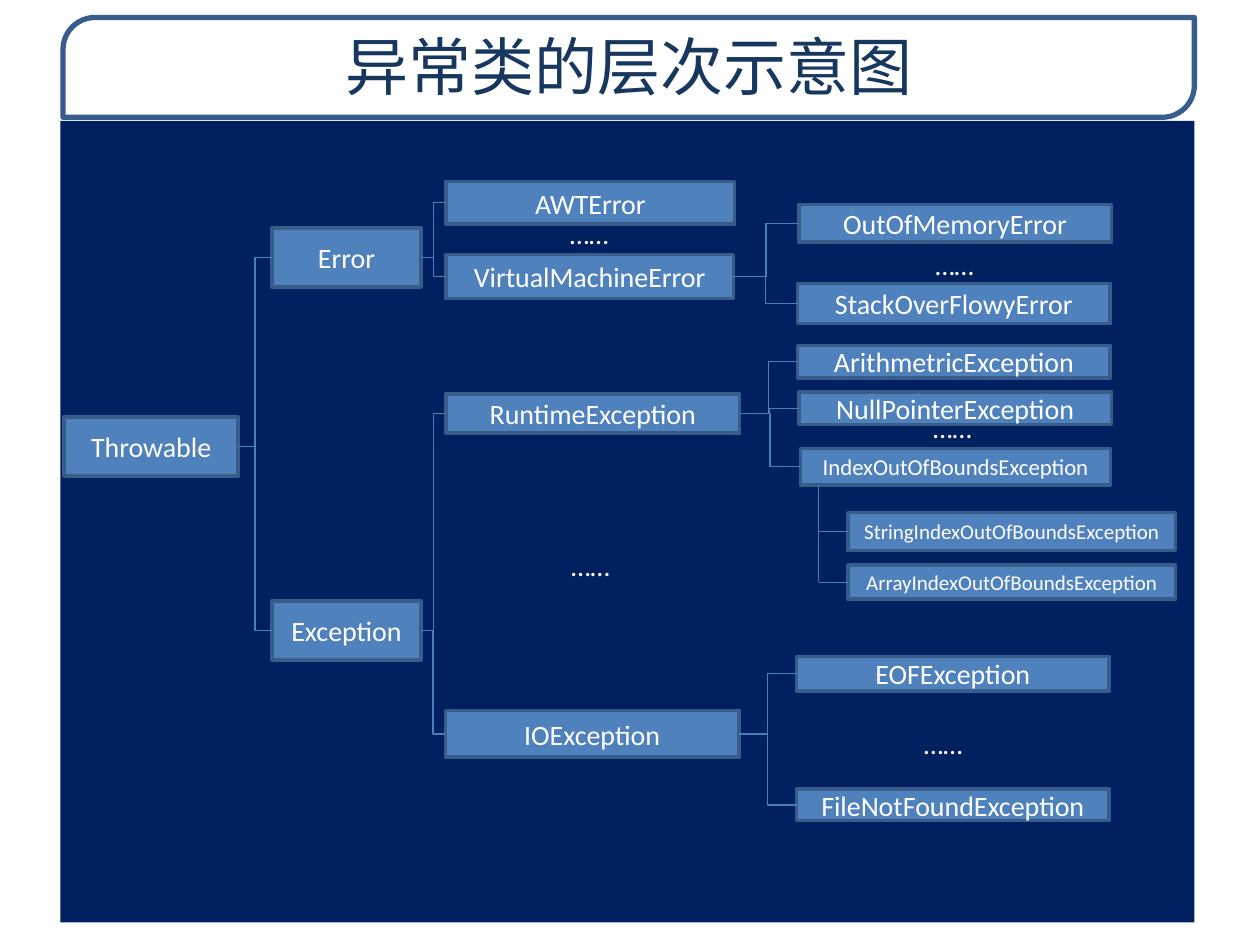
from lxml import etree
from pptx import Presentation
from pptx.dml.color import RGBColor
from pptx.enum.shapes import MSO_CONNECTOR, MSO_SHAPE
from pptx.enum.text import MSO_ANCHOR, PP_ALIGN
from pptx.oxml.ns import qn
from pptx.util import Pt

RECTANGLE = MSO_SHAPE.RECTANGLE
ROUND_DIAGONAL = MSO_SHAPE.ROUND_2_DIAG_RECTANGLE
STRAIGHT, ELBOW = MSO_CONNECTOR.STRAIGHT, MSO_CONNECTOR.ELBOW
MIDDLE, CENTER = MSO_ANCHOR.MIDDLE, PP_ALIGN.CENTER
LEFT_SIDE, RIGHT_SIDE = 1, 3

COLORS = {
    "white": "FFFFFF",
    "title": "17375E",
    "panel": "002060",
    "box": "4F81BD",
    "border": "385D8A",
    "connector": "4A7EBB",
}
COLORS = {name: RGBColor.from_string(value) for name, value in COLORS.items()}


def write_centered(shape, text, size, font_name="Calibri", color="white"):
    frame = shape.text_frame
    frame.word_wrap = True
    frame.vertical_anchor = MIDDLE
    frame.text = text
    paragraph = frame.paragraphs[0]
    paragraph.alignment = CENTER
    font = paragraph.runs[0].font
    font.name, font.size = font_name, Pt(size)
    font.color.rgb = COLORS[color]
    return font


def add_line(kind, *ends):
    """Add a thin connector from (x1, y1) to (x2, y2), given as four lengths."""
    connector = slide.shapes.add_connector(kind, *ends)
    connector.line.color.rgb = COLORS["connector"]
    connector.line.width = Pt(0.75)
    etree.SubElement(connector._element.spPr, qn("a:effectLst"))
    return connector


presentation = Presentation()
presentation.slide_width, presentation.slide_height = Pt(720), Pt(540)
slide = presentation.slides.add_slide(presentation.slide_layouts[6])

# Title frame and title
title_frame = slide.shapes.add_shape(ROUND_DIAGONAL, Pt(36), Pt(10), Pt(646.5), Pt(57))
title_frame.adjustments[0] = 0.32
title_frame.shadow.inherit = False
title_frame.fill.solid()
title_frame.fill.fore_color.rgb = COLORS["white"]
fill_color = title_frame._element.spPr.find(qn("a:solidFill"))[0]
etree.SubElement(fill_color, qn("a:alpha"), val="85000")
title_frame.line.color.rgb = COLORS["border"]
title_frame.line.width = Pt(3)

title = slide.shapes.add_textbox(Pt(36.7), Pt(10), Pt(645.8), Pt(54.7))
title_font = write_centered(title, "异常类的层次示意图", 36, "Noto Sans CJK SC", "title")
etree.SubElement(title_font._element, qn("a:ea"), typeface="Noto Sans CJK SC")

# Dark panel behind the tree
panel = slide.shapes.add_shape(RECTANGLE, Pt(34.5), Pt(69.1), Pt(648), Pt(458))
panel.shadow.inherit = False
panel.fill.solid()
panel.fill.fore_color.rgb = COLORS["panel"]
panel.line.fill.background()

# Class boxes: name, left, top, width, height, text size
classes = [
    ("Throwable", 36.7, 238.3, 99.4, 33.8, 16),
    ("Error", 155.5, 130.3, 85, 33.8, 16),
    ("Exception", 155.5, 343.4, 85, 33.8, 16),
    ("AWTError", 254.9, 103.7, 164.9, 24.5, 16),
    ("VirtualMachineError", 254.9, 145.4, 164.2, 25.2, 16),
    ("RuntimeException", 254.9, 225.2, 167.8, 22.3, 16),
    ("IOException", 254.5, 406.1, 167.8, 26.6, 16),
    ("OutOfMemoryError", 456.5, 116.8, 178.6, 21.6, 16),
    ("StackOverFlowyError", 455.8, 162, 178.6, 23, 16),
    ("ArithmetricException", 455.8, 197.4, 178.6, 18.7, 16),
    ("NullPointerException", 456.5, 223.9, 178.6, 18.7, 16),
    ("IndexOutOfBoundsException", 457.4, 256.2, 177.1, 20.9, 13),
    ("StringIndexOutOfBoundsException", 484.6, 293, 187.2, 21.6, 12),
    ("ArrayIndexOutOfBoundsException", 484.6, 323, 187.2, 19.4, 12),
    ("EOFException", 455.2, 375.1, 178.6, 19.8, 16),
    ("FileNotFoundException", 455.2, 451, 178.6, 18, 16),
]
boxes = {}
for name, left, top, width, height, size in classes:
    box = slide.shapes.add_shape(RECTANGLE, Pt(left), Pt(top), Pt(width), Pt(height))
    box.shadow.inherit = False
    box.fill.solid()
    box.fill.fore_color.rgb = COLORS["box"]
    box.line.color.rgb = COLORS["border"]
    box.line.width = Pt(2)
    write_centered(box, name, size)
    boxes[name] = box

# Elbow connectors from each class to its subclasses
subclasses = {
    "Throwable": ["Error", "Exception"],
    "Error": ["AWTError", "VirtualMachineError"],
    "Exception": ["RuntimeException", "IOException"],
    "VirtualMachineError": ["OutOfMemoryError", "StackOverFlowyError"],
    "RuntimeException": [
        "ArithmetricException", "NullPointerException", "IndexOutOfBoundsException",
    ],
    "IOException": ["EOFException", "FileNotFoundException"],
}
for parent, children in subclasses.items():
    for child in children:
        connector = add_line(ELBOW, 0, 0, 0, 0)
        connector.begin_connect(boxes[parent], RIGHT_SIDE)
        connector.end_connect(boxes[child], LEFT_SIDE)

# The index exceptions hang from a vertical trunk
index_box = boxes["IndexOutOfBoundsException"]
trunk_x = Pt(467.8)
for name in ("StringIndexOutOfBoundsException", "ArrayIndexOutOfBoundsException"):
    child = boxes[name]
    branch_y = child.top + child.height // 2
    branch = add_line(STRAIGHT, trunk_x, branch_y, child.left, branch_y)
    branch.end_connect(child, LEFT_SIDE)
add_line(STRAIGHT, trunk_x, index_box.top + index_box.height, trunk_x, branch_y)

# Ellipses for the classes not listed: left, top, width, height
ellipses = [
    (254.2, 121, 164.9, 24.5),
    (455, 233.3, 178.6, 22.3),
    (455.8, 139, 179.3, 24.5),
    (254.9, 311, 164.9, 24.5),
    (456.5, 412.6, 164.9, 24.5),
]
for bounds in ellipses:
    ellipsis_box = slide.shapes.add_textbox(*map(Pt, bounds))
    write_centered(ellipsis_box, "……", 16)

presentation.save("out.pptx")
